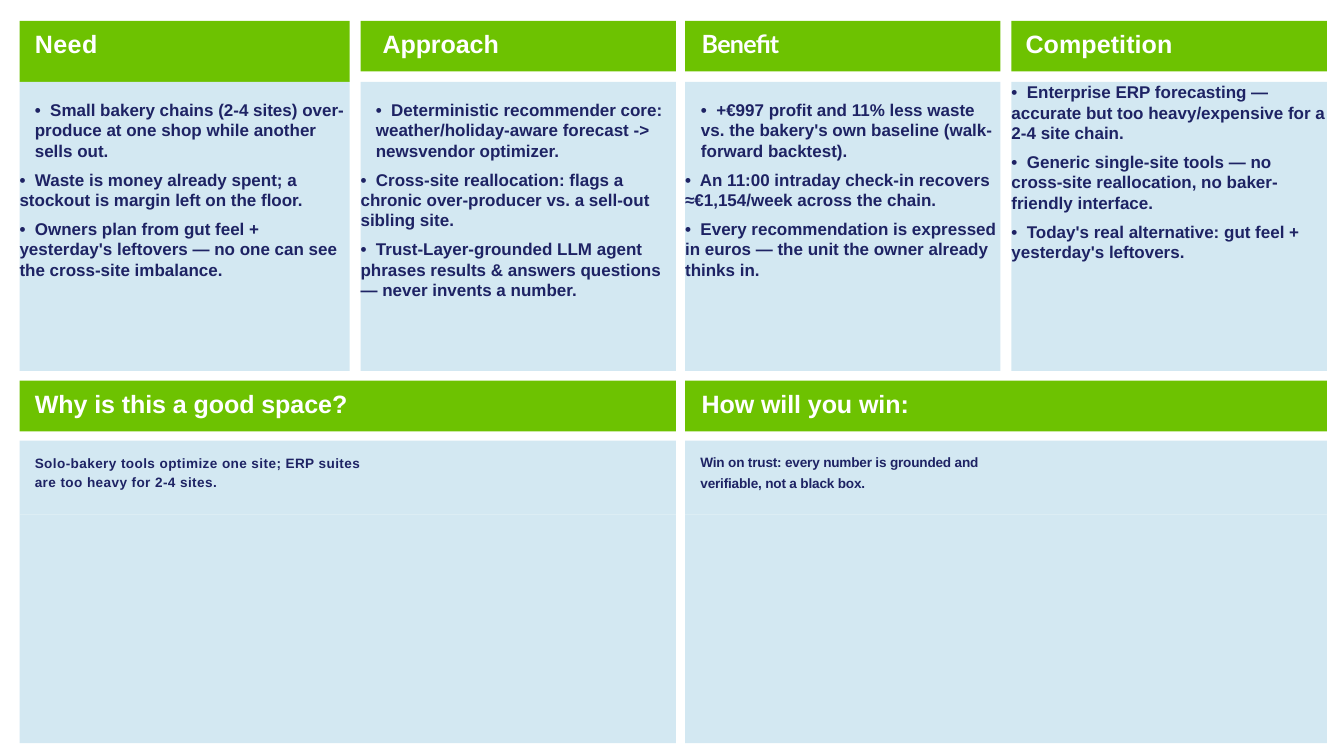
from dataclasses import dataclass

import pptx
import pptx.dml.color
import pptx.enum.shapes
import pptx.enum.text
import pptx.util
from pptx.util import Inches


@dataclass(frozen=True)
class Theme:
    green: str = "6DC201"
    pale_blue: str = "D3E8F2"
    navy: str = "1E2364"
    white: str = "FFFFFF"
    font: str = "Arial"
    heading_size: float = 29.5
    bullet_size: float = 20
    note_size: float = 16


@dataclass(frozen=True)
class TextStyle:
    size: float
    color: str
    font: str = "Arial"
    tracking: float = 0
    first_indent: float = 0
    space_after: float = 0
    line_spacing: float = 1


@dataclass(frozen=True)
class Column:
    heading: str
    left: float
    width: float
    heading_indent: float
    bullet_indent: float
    bullet_inset: float
    bullets: tuple[str, ...]
    font: str = "Arial"
    tracking: float = 0


@dataclass(frozen=True)
class Section:
    heading: str
    left: float
    width: float
    heading_indent: float
    note: str
    note_top: float
    note_width: float
    note_tracking: float
    note_spacing: float


THEME = Theme()

COLUMNS = (
    Column("Need", 0.32, 5.4, 0.25, 0.25, 0.29, (
        "•  Small bakery chains (2-4 sites) over-produce at one shop while another sells out.",
        "•  Waste is money already spent; a stockout is margin left on the floor.",
        "•  Owners plan from gut feel + yesterday's leftovers — no one can see the cross-site imbalance.",
    ), tracking=0.5),
    Column("Approach", 5.9, 5.16, 0.36, 0.25, 0.29, (
        "•  Deterministic recommender core: weather/holiday-aware forecast -> newsvendor optimizer.",
        "•  Cross-site reallocation: flags a chronic over-producer vs. a sell-out sibling site.",
        "•  Trust-Layer-grounded LLM agent phrases results & answers questions — never invents a number.",
    ), tracking=-0.1),
    Column("Benefit", 11.21, 5.16, 0.27, 0.26, 0.29, (
        "•  +€997 profit and 11% less waste vs. the bakery's own baseline (walk-forward backtest).",
        "•  An 11:00 intraday check-in recovers ≈€1,154/week across the chain.",
        "•  Every recommendation is expressed in euros — the unit the owner already thinks in.",
    ), font="Lato", tracking=-0.8),
    Column("Competition", 16.55, 5.16, 0.23, 0, 0, (
        "•  Enterprise ERP forecasting — accurate but too heavy/expensive for a 2-4 site chain.",
        "•  Generic single-site tools — no cross-site reallocation, no baker-friendly interface.",
        "•  Today's real alternative: gut feel + yesterday's leftovers.",
    ), tracking=0.1),
)

SECTIONS = (
    Section("Why is this a good space?", 0.32, 10.74, 0.25,
            "Solo-bakery tools optimize one site; ERP suites are too heavy for 2-4 sites.",
            7.39, 5.74, 0.5, 1.17),
    Section("How will you win:", 11.21, 10.5, 0.27,
            "Win on trust: every number is grounded and verifiable, not a black box.",
            7.36, 4.68, -0.2, 1.24),
)

# Rows of the grid: top and height
HEADING_ROW = (0.34, 0.83)
TITLE_HEIGHT = 1.0
BULLET_ROW = (1.34, 4.73)
SECTION_ROW = (6.23, 0.83)
NOTE_ROWS = ((7.21, 1.21), (8.42, 3.74))


def rgb(color: str) -> pptx.dml.color.RGBColor:
    return pptx.dml.color.RGBColor.from_string(color)


def add_panel(slide, left: float, top: float, width: float, height: float, color: str):
    panel = slide.shapes.add_shape(
        pptx.enum.shapes.MSO_SHAPE.RECTANGLE,
        Inches(left), Inches(top), Inches(width), Inches(height))
    panel.shadow.inherit = False
    panel.fill.solid()
    panel.fill.fore_color.rgb = rgb(color)
    panel.line.fill.background()
    return panel


def write(shape, lines: tuple[str, ...], style: TextStyle, inset: float) -> None:
    frame = shape.text_frame
    frame.word_wrap = True
    frame.auto_size = pptx.enum.text.MSO_AUTO_SIZE.NONE
    frame.vertical_anchor = pptx.enum.text.MSO_ANCHOR.TOP
    frame.margin_left = frame.margin_right = frame.margin_bottom = 0
    frame.margin_top = Inches(inset)
    for index, line in enumerate(lines):
        paragraph = frame.add_paragraph() if index else frame.paragraphs[0]
        paragraph.alignment = pptx.enum.text.PP_ALIGN.LEFT
        paragraph.space_after = pptx.util.Pt(style.space_after)
        paragraph.line_spacing = style.line_spacing
        if index == 0:
            paragraph.space_before = pptx.util.Pt(0)
            properties = paragraph._p.get_or_add_pPr()
            properties.set("marL", str(Inches(style.first_indent)))
            properties.set("indent", "0")
        run = paragraph.add_run()
        run.text = line
        run.font.name = style.font
        run.font.size = pptx.util.Pt(style.size)
        run.font.bold = True
        run.font.color.rgb = rgb(style.color)
        run._r.get_or_add_rPr().set("spc", str(round(style.tracking * 100)))


def add_column(slide, column: Column) -> None:
    # The first heading is the slide title
    if column is COLUMNS[0]:
        heading = slide.shapes.title
        heading.left, heading.top = Inches(column.left), Inches(HEADING_ROW[0])
        heading.width, heading.height = Inches(column.width), Inches(TITLE_HEIGHT)
        heading.fill.solid()
        heading.fill.fore_color.rgb = rgb(THEME.green)
    else:
        heading = add_panel(slide, column.left, HEADING_ROW[0], column.width,
                            HEADING_ROW[1], THEME.green)
    write(heading, (column.heading,),
          TextStyle(THEME.heading_size, THEME.white, column.font, column.tracking,
                    column.heading_indent), 0.12)
    # Bullets
    top, height = BULLET_ROW
    bullets = add_panel(slide, column.left, top, column.width, height, THEME.pale_blue)
    write(bullets, column.bullets,
          TextStyle(THEME.bullet_size, THEME.navy, THEME.font,
                    first_indent=column.bullet_indent, space_after=10),
          column.bullet_inset)


def add_section(slide, section: Section) -> None:
    top, height = SECTION_ROW
    heading = add_panel(slide, section.left, top, section.width, height, THEME.green)
    write(heading, (section.heading,),
          TextStyle(THEME.heading_size, THEME.white, THEME.font, -0.1,
                    section.heading_indent), 0.13)
    # Note over its two-part background
    for top, height in NOTE_ROWS:
        add_panel(slide, section.left, top, section.width, height, THEME.pale_blue)
    note = slide.shapes.add_textbox(
        Inches(section.left + 0.24), Inches(section.note_top),
        Inches(section.note_width), Inches(0.83))
    write(note, (section.note,),
          TextStyle(THEME.note_size, THEME.navy, THEME.font, section.note_tracking,
                    first_indent=0.01, line_spacing=section.note_spacing), 0.01)


def main() -> None:
    deck = pptx.Presentation()
    deck.slide_width, deck.slide_height = Inches(21.99), Inches(12.37)
    slide = deck.slides.add_slide(deck.slide_layouts.get_by_name("Title Only"))
    for column in COLUMNS:
        add_column(slide, column)
    for section in SECTIONS:
        add_section(slide, section)
    deck.save("out.pptx")


if __name__ == "__main__":
    main()
